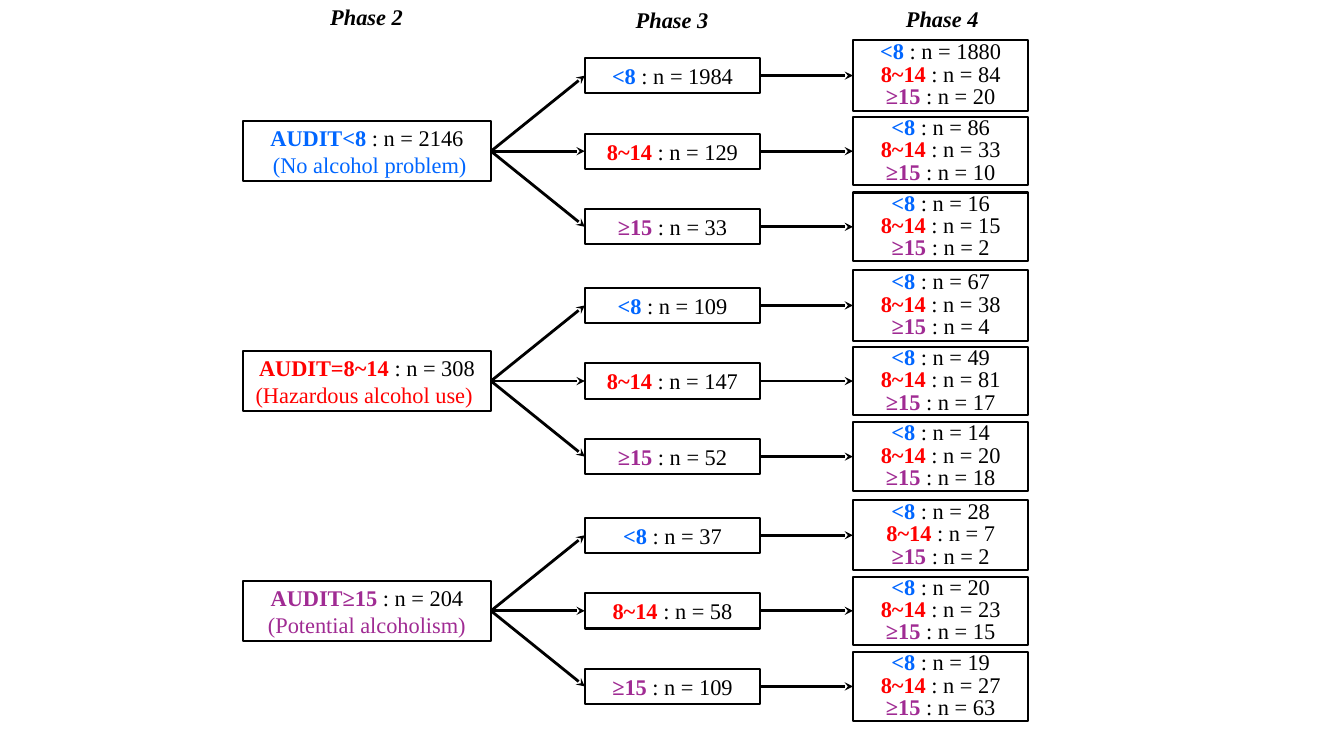
import pptx
import pptx.util
import pptx.dml.color
import pptx.enum.shapes
import pptx.enum.text
import pptx.oxml.ns
import lxml.etree
from pptx.util import Inches

RGBColor = pptx.dml.color.RGBColor
BLACK = RGBColor(0, 0, 0)
WHITE = RGBColor(255, 255, 255)
BLUE = RGBColor(0x00, 0x66, 0xFF)
RED = RGBColor(0xFF, 0x00, 0x00)
PURPLE = RGBColor(0xA0, 0x2B, 0x93)

BANDS = [("<8", BLUE), ("8~14", RED), ("≥15", PURPLE)]
TITLES = [("Phase 2", 2.99, -0.02), ("Phase 3", 6.02, 0.01), ("Phase 4", 8.7, 0)]
GROUPS = [
    (
        [[("AUDIT<8", BLUE, True), (" : n = 2146", BLACK, False)],
         [(" (No alcohol problem)", BLUE, False)]],
        [(1984, (1880, 84, 20)), (129, (86, 33, 10)), (33, (16, 15, 2))],
    ),
    (
        [[("AUDIT=8~14", RED, True), (" : n = 308", BLACK, False)],
         [("(Hazardous alcohol use) ", RED, False)]],
        [(109, (67, 38, 4)), (147, (49, 81, 17)), (52, (14, 20, 18))],
    ),
    (
        [[("AUDIT≥15", PURPLE, True), (" : n = 204 ", BLACK, False),
          ("(Potential alcoholism)", PURPLE, False)]],
        [(37, (28, 7, 2)), (58, (20, 23, 15)), (109, (19, 27, 63))],
    ),
]


def count(band, n):
    label, color = band
    return [(label, color, True), (f" : n = {n}", BLACK, False)]


class Chart:
    font = "Times New Roman"
    size = pptx.util.Pt(16)
    edge = pptx.util.Pt(1.5)
    stroke = pptx.util.Pt(2)

    def __init__(self, slide):
        self.slide = slide

    def label(self, frame, lines, pitch=None, italic=None):
        frame.word_wrap = True
        for i, line in enumerate(lines):
            para = frame.add_paragraph() if i else frame.paragraphs[0]
            para.alignment = pptx.enum.text.PP_ALIGN.CENTER
            if pitch:
                para.line_spacing = pitch
            for text, color, bold in line:
                run = para.add_run()
                run.text = text
                font = run.font
                font.name = self.font
                font.size = self.size
                font.bold = bold
                font.italic = italic
                font.color.rgb = color

    def title(self, text, left, top):
        box = self.slide.shapes.add_textbox(
            Inches(left), Inches(top), Inches(1.29), Inches(0.37))
        self.label(box.text_frame, [[(text, BLACK, True)]], italic=True)
        box.text_frame.auto_size = pptx.enum.text.MSO_AUTO_SIZE.SHAPE_TO_FIT_TEXT

    def box(self, left, mid, width, height, lines, pitch=None):
        box = self.slide.shapes.add_shape(
            pptx.enum.shapes.MSO_SHAPE.RECTANGLE, Inches(left),
            Inches(mid - height / 2), Inches(width), Inches(height))
        box.shadow.inherit = False
        box.fill.solid()
        box.fill.fore_color.rgb = WHITE
        box.line.color.rgb = BLACK
        box.line.width = self.edge
        box.text_frame.vertical_anchor = pptx.enum.text.MSO_ANCHOR.MIDDLE
        self.label(box.text_frame, lines, pitch)

    def arrow(self, left, start, right, end):
        link = self.slide.shapes.add_connector(
            pptx.enum.shapes.MSO_CONNECTOR.STRAIGHT,
            Inches(left), Inches(start), Inches(right), Inches(end))
        link.line.color.rgb = BLACK
        link.line.width = self.stroke
        props = link.element.spPr
        stroke = props.find(pptx.oxml.ns.qn("a:ln"))
        tail = lxml.etree.SubElement(stroke, pptx.oxml.ns.qn("a:tailEnd"))
        tail.set("type", "stealth")
        lxml.etree.SubElement(props, pptx.oxml.ns.qn("a:effectLst"))


def main():
    deck = pptx.Presentation()
    deck.slide_width = Inches(13.33)
    deck.slide_height = Inches(7.5)
    chart = Chart(deck.slides.add_slide(deck.slide_layouts[6]))

    for text, left, top in TITLES:
        chart.title(text, left, top)

    for g, (head, rows) in enumerate(GROUPS):
        mid = 1.5 + 2.28 * g
        chart.box(2.41, mid, 2.46, 0.6, head)
        for r, (total, parts) in enumerate(rows):
            y = mid + 0.75 * (r - 1)
            chart.box(5.8, y, 1.74, 0.35, [count(BANDS[r], total)])
            tall = 0.68 if r else 0.7
            lines = [count(band, n) for band, n in zip(BANDS, parts)]
            chart.box(8.46, y, 1.74, tall, lines, chart.size)
            chart.arrow(4.87, mid, 5.8, y)
            chart.arrow(7.54, y, 8.46, y)

    deck.save("out.pptx")


if __name__ == "__main__":
    main()
